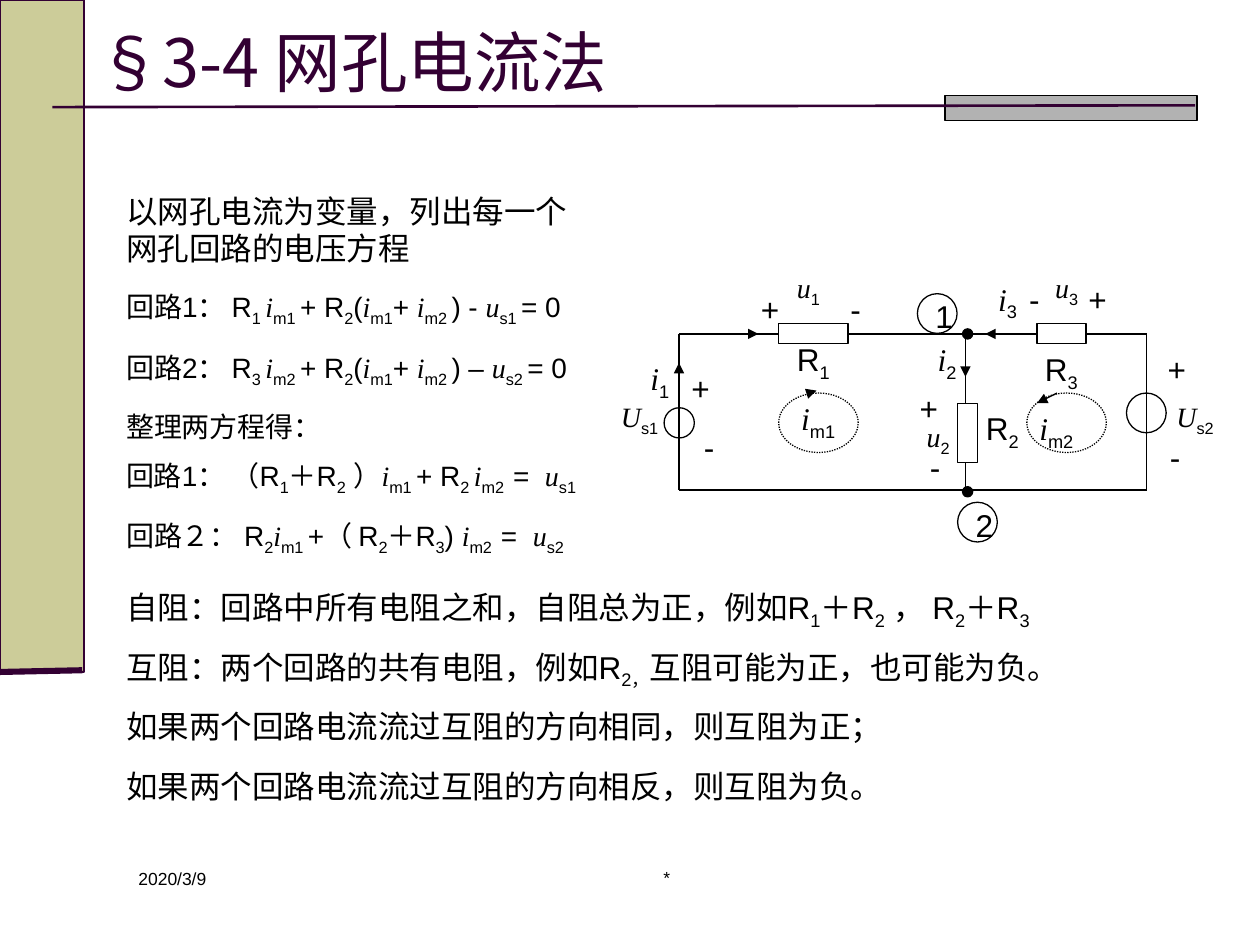
from lxml.etree import SubElement
from pptx import Presentation
from pptx.dml.color import RGBColor
from pptx.enum.dml import MSO_LINE
from pptx.enum.shapes import MSO_CONNECTOR, MSO_SHAPE
from pptx.enum.text import MSO_ANCHOR, PP_ALIGN
from pptx.oxml.ns import qn
from pptx.util import Pt

BLACK = RGBColor(0x00, 0x00, 0x00)
WHITE = RGBColor(0xFF, 0xFF, 0xFF)
PLUM = RGBColor(0x33, 0x00, 0x33)
OLIVE = RGBColor(0xCC, 0xCC, 0x99)
GRAY = RGBColor(0xB2, 0xB2, 0xB2)
SANS, SERIF, CJK = "Arial", "Times New Roman", "Noto Sans CJK SC"

LEFT, MID, RIGHT = 388, 551.7, 655.2
TOP, BOTTOM = 190.8, 280

NOTES = [
    (106, 278, 51, 18, "以网孔电流为变量，列出每一个网孔回路的电压方程"),
    (162, 300, 27, 16, "回路1： R|_1 |/i|_m1 |+ R|_2|(|/i|_m1|+ |/i|_m2 |) - |/u|_s1 |= 0"),
    (196.5, 300, 27, 16, "回路2： R|_3 |/i|_m2 |+ R|_2|(|/i|_m1|+ |/i|_m2 |) – |/u|_s2 |= 0"),
    (230.5, 187, 27, 16, "整理两方程得："),
    (258.5, 318, 27, 16, "回路1： （R|_1|＋R|_2| ）|/i|_m1 |+ R|_2 |/i|_m2  |=  |/u|_s1"),
    (293, 323, 27, 16, "回路２： R|_2|/i|_m1 |+（ R|_2|＋R|_3|) |/i|_m2  |=  |/u|_s2"),
    (332.5, 624, 29, 18, "自阻：回路中所有电阻之和，自阻总为正，例如R|_1|＋R|_2| ， R|_2|＋R|_3"),
    (366.5, 578, 29, 18, "互阻：两个回路的共有电阻，例如R|_2，|互阻可能为正，也可能为负。"),
    (400.5, 487, 29, 18, "如果两个回路电流流过互阻的方向相同，则互阻为正；"),
    (434.5, 487, 29, 18, "如果两个回路电流流过互阻的方向相反，则互阻为负。"),
]

VOLTAGES = [
    (342.7, 224.6, "/U|_s1"), (660.2, 224.6, "/U|_s2"),
    (439.2, 151.2, "/u|_1"), (513.4, 236.2, "/u|_2"), (586.8, 151.2, "/u|_3"),
]
RESISTANCES = [(439.2, 190.8, "R|_1"), (547.2, 230.4, "R|_2"), (581, 196.6, "R|_3")]
CURRENTS = [(360, 201.6, "/i|_1"), (524.2, 190.8, "/i|_2"), (558.7, 156.2, "/i|_3")]
MESHES = [(450.7, 224.6, "/i|_m1"), (586.8, 230.4, "/i|_m2")]
SOURCE_SIGNS = [(388, 207.4, "+"), (393.8, 241.2, "-"), (660.2, 196.6, "+"), (660.2, 247, "-")]
RESISTOR_SIGNS = [
    (427.7, 162, "+"), (478.8, 162, "-"), (518.4, 218.9, "+"),
    (524.2, 252.7, "-"), (614.9, 156.2, "+"), (581, 156.2, "-"),
]
LABELS = [
    (VOLTAGES, 45.4, 27, 16, PP_ALIGN.CENTER),
    (RESISTANCES, 51, 29, 18, PP_ALIGN.CENTER),
    (CURRENTS, 34, 29, 18, PP_ALIGN.CENTER),
    (MESHES, 40, 29, 18, PP_ALIGN.LEFT),
    (SOURCE_SIGNS, 22.7, 29, 18, PP_ALIGN.CENTER),
    (RESISTOR_SIGNS, 22.7, 29, 18, PP_ALIGN.LEFT),
]
ARROWS = [
    (LEFT, 241.2, LEFT, 207.4), (405.4, TOP, 433.4, TOP),
    (MID, 198.7, MID, 215.3), (583.2, TOP, 563, TOP),
    (462.2, 224.6, 466.6, 223.2), (604, 224.6, 592.6, 230.4),
]
WIRES = [
    (LEFT, BOTTOM, RIGHT, BOTTOM), (LEFT, TOP, RIGHT, TOP),
    (LEFT, BOTTOM, LEFT, TOP), (MID, BOTTOM, MID, TOP), (RIGHT, BOTTOM, RIGHT, TOP),
]
RESISTORS = [(445, 185, 39.6, 11.5), (592.6, 185, 28, 11.5), (547.2, 230.4, 11.5, 34)]


def write(p, markup, size, color=BLACK, font=SANS):
    for part in markup.split("|"):
        r = p.add_run()
        r.text = part.lstrip("_/")
        r.font.size = Pt(size)
        r.font.color.rgb = color
        r.font.name = SERIF if part.startswith("/") else font
        rPr = r.font._element
        SubElement(rPr, qn("a:ea")).set("typeface", CJK)
        if part.startswith("/"):
            r.font.italic = True
        if part.startswith("_"):
            rPr.set("baseline", "-25000")


def add_text(s, x, y, w, h, markup, size, align=PP_ALIGN.LEFT, color=BLACK, font=SANS):
    sp = s.shapes.add_textbox(Pt(x), Pt(y), Pt(w), Pt(h))
    tf = sp.text_frame
    tf.word_wrap = True
    tf.paragraphs[0].alignment = align
    write(tf.paragraphs[0], markup, size, color, font)
    return tf


def add_shape(s, kind, x, y, w, h, fill=None, line=BLACK):
    sp = s.shapes.add_shape(kind, Pt(x), Pt(y), Pt(w), Pt(h))
    sp.shadow.inherit = False
    if fill is None:
        sp.fill.background()
    else:
        sp.fill.solid()
        sp.fill.fore_color.rgb = fill
    sp.line.color.rgb = line
    sp.line.width = Pt(0.75)
    return sp


def add_line(s, x1, y1, x2, y2, color=BLACK, width=0.75, arrow=False):
    c = s.shapes.add_connector(MSO_CONNECTOR.STRAIGHT, Pt(x1), Pt(y1), Pt(x2), Pt(y2))
    c.line.color.rgb = color
    c.line.width = Pt(width)
    if arrow:
        SubElement(c.line._get_or_add_ln(), qn("a:tailEnd")).set("type", "triangle")
    SubElement(c._element.spPr, qn("a:effectLst"))


def add_node(s, x, y, number):
    sp = add_shape(s, MSO_SHAPE.OVAL, x, y, 22.7, 22.7)
    tf = sp.text_frame
    tf.word_wrap = False
    tf.vertical_anchor = MSO_ANCHOR.MIDDLE
    tf.margin_left, tf.margin_right = Pt(8), Pt(0)
    tf.margin_top, tf.margin_bottom = Pt(3), Pt(0)
    tf.paragraphs[0].alignment = PP_ALIGN.CENTER
    write(tf.paragraphs[0], number, 18)


def add_frame(s):
    add_shape(s, MSO_SHAPE.RECTANGLE, 0, 0, 48, 384, OLIVE, PLUM)
    add_shape(s, MSO_SHAPE.RECTANGLE, 540, 54.6, 144, 14.4, GRAY)
    add_line(s, 30, 61.2, 683, 60.2, PLUM, 1.5)
    add_line(s, 0, 384, 47, 383, PLUM, 3.5)
    add_text(s, 72, 492.5, 156, 36, "2020/3/9", 10)
    add_text(s, 264, 492, 234, 36, "*", 10, PP_ALIGN.CENTER)
    tf = add_text(s, 48, 15, 636, 40, "§3-4 网孔电流法", 38, color=PLUM, font=CJK)
    tf.vertical_anchor = MSO_ANCHOR.MIDDLE


def add_circuit(s):
    for wire in WIRES:
        add_line(s, *wire)
    for resistor in RESISTORS:
        add_shape(s, MSO_SHAPE.RECTANGLE, *resistor, WHITE)
    for x, y, d in [(379.5, 233, 17.3), (643.7, 224.6, 22.7)]:
        add_shape(s, MSO_SHAPE.OVAL, x, y, d, d)
    for y in (TOP, BOTTOM + 1):
        add_shape(s, MSO_SHAPE.OVAL, MID - 1.7, y - 2.9, 5.8, 5.8, BLACK)
    for x in (445, 586.8):
        mesh = add_shape(s, MSO_SHAPE.OVAL, x, 224.6, 45.4, 34)
        mesh.line.dash_style = MSO_LINE.ROUND_DOT
    for arrow in ARROWS:
        add_line(s, *arrow, arrow=True)
    for labels, w, h, size, align in LABELS:
        for x, y, markup in labels:
            add_text(s, x, y, w, h, markup, size, align)
    add_node(s, 524.2, 167.8, "1")
    add_node(s, 547.2, 287, "2")


def main():
    prs = Presentation()
    prs.slide_width, prs.slide_height = Pt(720), Pt(540)
    s = prs.slides.add_slide(prs.slide_layouts[6])
    add_frame(s)
    for y, w, h, size, markup in NOTES:
        add_text(s, 65, y, w, h, markup, size)
    add_circuit(s)
    prs.save("out.pptx")


if __name__ == "__main__":
    main()
